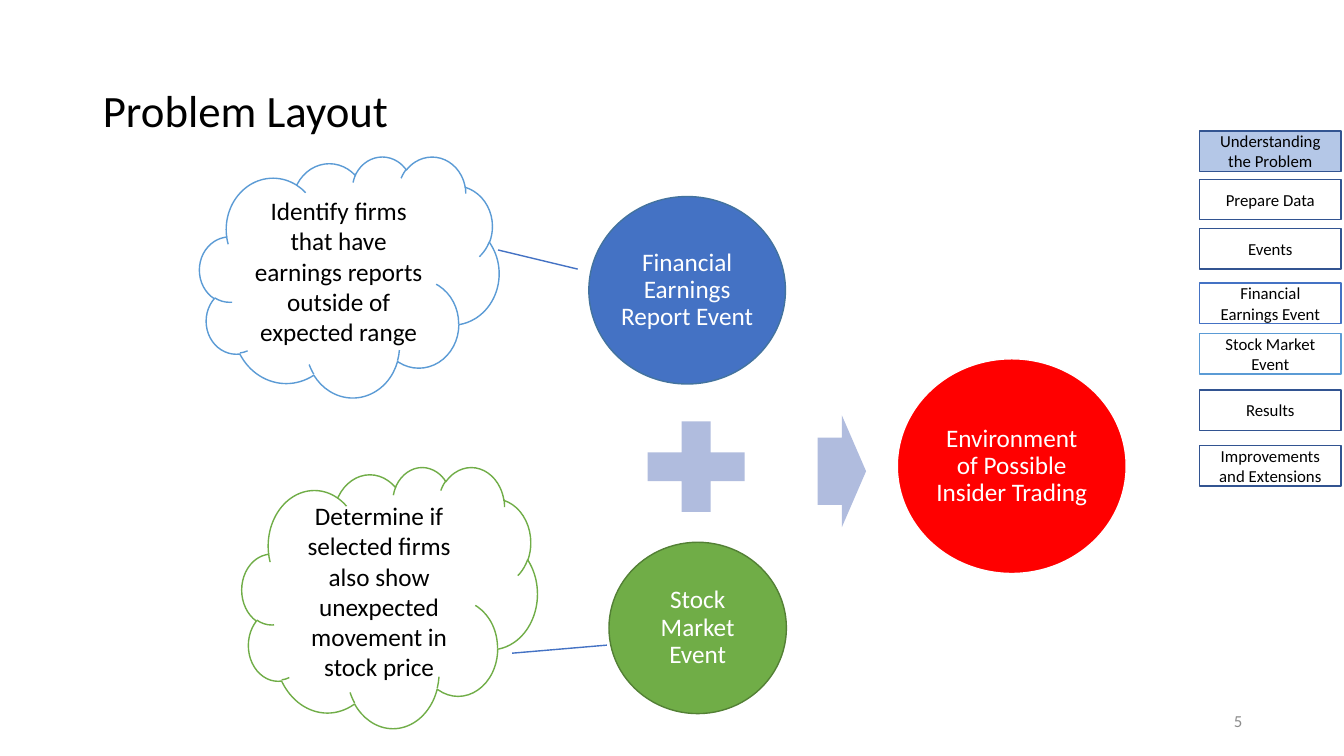
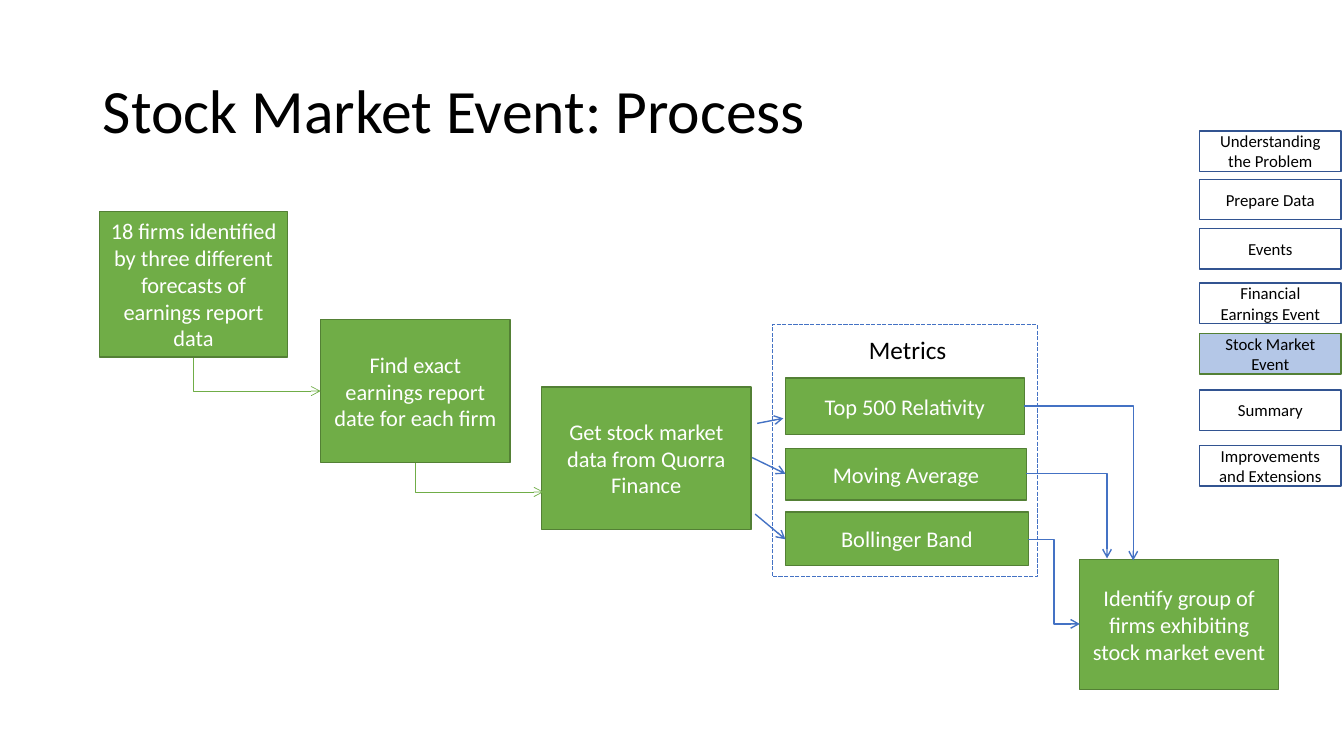
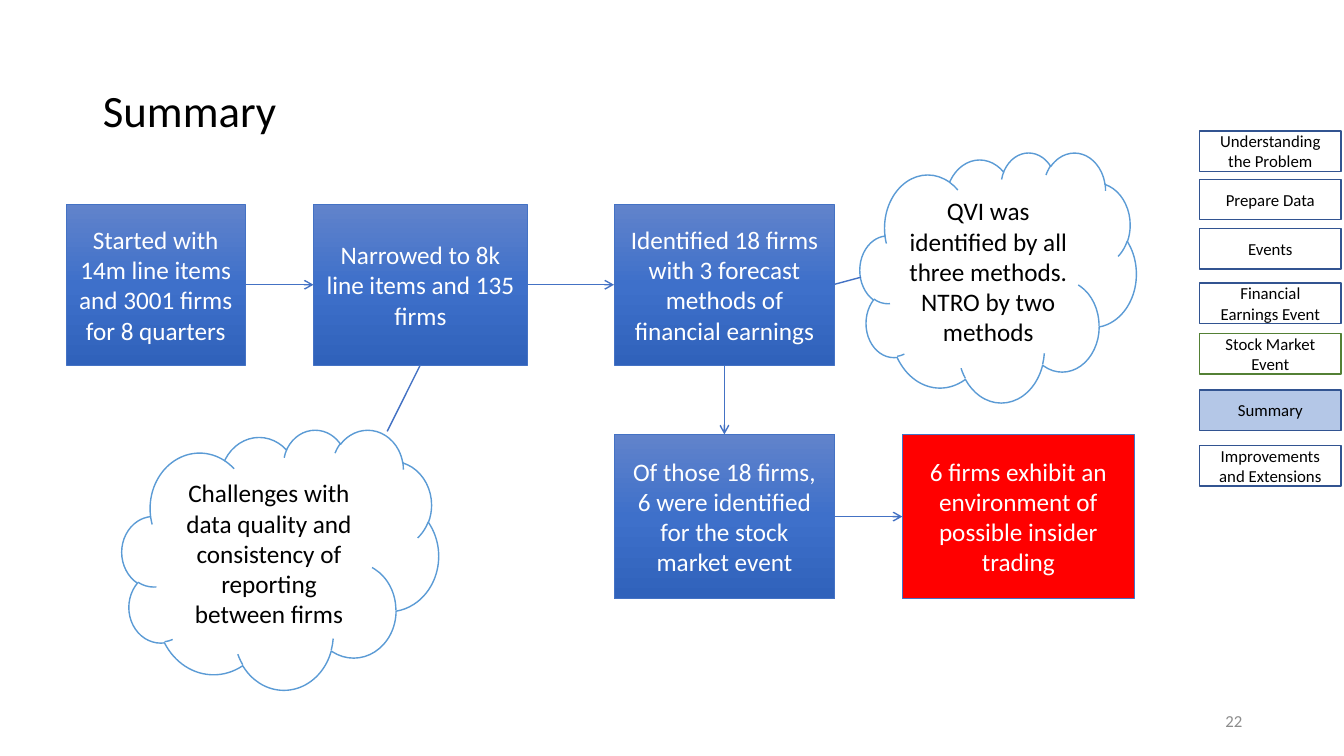
from dataclasses import dataclass
from typing import Any

from lxml.etree import SubElement
from pptx import Presentation
from pptx.dml.color import RGBColor
from pptx.enum.dml import MSO_LINE
from pptx.enum.shapes import MSO_CONNECTOR, MSO_SHAPE
from pptx.enum.text import MSO_ANCHOR, MSO_AUTO_SIZE, PP_ALIGN
from pptx.oxml.ns import qn
from pptx.util import Inches, Pt

FONT = "Calibri"
BLACK, WHITE, GREY = "000000", "FFFFFF", "8C8C8C"
BLUE, DARK_BLUE, LIGHT_BLUE, SKY = "4472C4", "325491", "B4C7E7", "5B9BD5"
GREEN, DARK_GREEN, RED, LAVENDER = "70AD47", "538035", "FF0000", "B0BCDE"
BLUE_GRADIENT = ((0, "6183CB"), (50, "3E70CA"), (100, "3062BB"))

# Connection sites of a rectangle
TOP, LEFT, BOTTOM, RIGHT = range(4)

# Agenda label and its offset from the top of the agenda
AGENDA = (
    ("Understanding the Problem", 0),
    ("Prepare Data", 0.48),
    ("Events", 0.97),
    ("Financial Earnings Event", 1.51),
    ("Stock Market Event", 2.01),
    ("Summary", 2.57),
    ("Improvements and Extensions", 3.12),
)


def rgb(color):
    return RGBColor.from_string(color)


def set_text(tf, text, size, color, align=PP_ALIGN.CENTER, spacing=None):
    tf.text = text
    p = tf.paragraphs[0]
    p.alignment = align
    if spacing:
        p.line_spacing = spacing
    font = p.runs[0].font
    font.name, font.size = FONT, Pt(size)
    font.color.rgb = rgb(color)


def set_fill(sp, fill):
    if fill is None:
        sp.fill.background()
    elif isinstance(fill, str):
        sp.fill.solid()
        sp.fill.fore_color.rgb = rgb(fill)
    else:
        sp.fill.gradient()
        sp.fill.gradient_angle = 270
        stops = sp._element.spPr.find(".//" + qn("a:gsLst"))
        for stop in list(stops):
            stops.remove(stop)
        for percent, color in fill:
            stop = SubElement(stops, qn("a:gs"), pos=str(percent * 1000))
            SubElement(stop, qn("a:srgbClr"), val=color)


@dataclass
class Region:
    """Part of a slide; positions are inches from its top left corner."""
    slide: Any
    left: float
    top: float

    def point(self, x, y):
        return Inches(self.left + x), Inches(self.top + y)

    def shape(self, kind, at, text="", fill=None, line=None, width=1,
              size=18, color=WHITE, spacing=None, inset=None):
        x, y, w, h = at
        sp = self.slide.shapes.add_shape(
            kind, *self.point(x, y), Inches(w), Inches(h))
        sp.shadow.inherit = False
        set_fill(sp, fill)
        if line:
            sp.line.color.rgb = rgb(line)
            sp.line.width = Pt(width)
        else:
            sp.line.fill.background()
        tf = sp.text_frame
        if text:
            tf.word_wrap = True
            tf.vertical_anchor = MSO_ANCHOR.MIDDLE
            set_text(tf, text, size, color, spacing=spacing)
        if inset is not None:
            tf.margin_left = tf.margin_right = Inches(inset)
            tf.margin_top = tf.margin_bottom = Inches(inset)
        return sp

    def cloud(self, at, text, line):
        return self.shape(MSO_SHAPE.CLOUD, at, text, WHITE, line, color=BLACK)

    def circle(self, at, text, fill, line):
        return self.shape(MSO_SHAPE.OVAL, at, text, fill, line,
                          spacing=0.9, inset=0.03)

    def label(self, at, text, size, color, align, anchor=MSO_ANCHOR.TOP):
        x, y, w, h = at
        sp = self.slide.shapes.add_textbox(
            *self.point(x, y), Inches(w), Inches(h))
        sp.text_frame.word_wrap = True
        sp.text_frame.vertical_anchor = anchor
        set_text(sp.text_frame, text, size, color, align)

    def line(self, start, end, arrow=False, color=BLUE, width=1,
             kind=MSO_CONNECTOR.STRAIGHT):
        c = self.slide.shapes.add_connector(
            kind, *self.point(*start), *self.point(*end))
        c.line.color.rgb = rgb(color)
        c.line.width = Pt(width)
        if arrow:
            SubElement(c.line._get_or_add_ln(), qn("a:tailEnd"), type="arrow")
        SubElement(c._element.spPr, qn("a:effectLst"))
        return c

    def corner(self, start, end, down_first=False, **style):
        """Arrow with a single right-angle turn."""
        if down_first:
            # The frame is turned a quarter, so its sides are swapped
            (x1, y1), (x2, y2) = start, end
            cx, cy = (x1 + x2) / 2, (y1 + y2) / 2
            dx, dy = (y2 - y1) / 2, (x2 - x1) / 2
            start, end = (cx - dx, cy - dy), (cx + dx, cy + dy)
        c = self.line(start, end, True, kind=MSO_CONNECTOR.ELBOW, **style)
        spPr = c._element.spPr
        spPr.find(qn("a:prstGeom")).set("prst", "bentConnector2")
        if down_first:
            xfrm = spPr.find(qn("a:xfrm"))
            xfrm.set("rot", "16200000")
            xfrm.set("flipH", "1")

    def link(self, source, source_site, target, target_site):
        """Straight arrow glued to two boxes."""
        c = self.line((0, 0), (1, 1), True)
        c.begin_connect(source, source_site)
        c.end_connect(target, target_site)


def add_slide(prs, title, size, number=None):
    s = prs.slides.add_slide(prs.slide_layouts[5])
    sp = s.shapes.title
    sp.left, sp.top = Inches(0.92), Inches(0.4)
    sp.width, sp.height = Inches(11.5), Inches(1.45)
    tf = sp.text_frame
    tf.auto_size = MSO_AUTO_SIZE.NONE
    tf.vertical_anchor = MSO_ANCHOR.MIDDLE
    set_text(tf, title, size, BLACK, PP_ALIGN.LEFT, 0.9)
    if number:
        Region(s, 9.42, 6.95).label((0, 0, 3, 0.4), number, 12, GREY,
                                    PP_ALIGN.RIGHT, MSO_ANCHOR.MIDDLE)
    return s


def add_agenda(area, current, lines, renamed):
    """Agenda on the right edge, with the current step filled."""
    for text, y in AGENDA:
        area.shape(MSO_SHAPE.FLOWCHART_PROCESS, (0, y, 1.4, 0.4),
                   renamed.get(text, text),
                   LIGHT_BLUE if text == current else None,
                   lines.get(text, DARK_BLUE), size=12, color=BLACK)


def add_problem(area):
    # Two events lead to one environment
    area.circle((3.94, 0.45, 1.95, 1.86), "Financial Earnings Report Event",
                BLUE, "43739E")
    area.shape(MSO_SHAPE.MATH_PLUS, (4.35, 2.52, 1.31, 1.22), fill=LAVENDER)
    area.circle((4.14, 3.88, 1.76, 1.7), "Stock Market Event",
                GREEN, DARK_GREEN)
    arrow = area.shape(MSO_SHAPE.RIGHT_ARROW, (6.21, 2.62, 0.48, 1.11),
                       fill=LAVENDER)
    arrow.adjustments[0] = 0.6
    area.circle((7, 2.06, 2.27, 2.13),
                "Environment of Possible Insider Trading", RED, WHITE)

    # Explanations
    area.cloud((0.08, 0.05, 2.97, 2.39), "Identify firms that have earnings "
               "reports outside of expected range", SKY)
    area.line((3.04, 0.98), (3.83, 1.17))
    area.cloud((0.5, 3.13, 2.93, 2.59), "Determine if selected firms also "
               "show unexpected movement in stock price", GREEN)
    area.line((3.18, 4.98), (4.12, 4.9))


def add_process(area):
    # Steps and metrics
    for at, text in (
        ((0.09, 0.1, 1.86, 1.44), "18 firms identified by three different "
                                  "forecasts of earnings report data"),
        ((2.28, 1.17, 1.88, 1.42),
         "Find exact earnings report date for each firm"),
        ((4.47, 1.84, 2.08, 1.41),
         "Get stock market data from Quorra Finance"),
        ((6.89, 1.75, 2.37, 0.56), "Top 500 Relativity"),
        ((6.89, 2.45, 2.39, 0.51), "Moving Average"),
        ((6.89, 3.08, 2.41, 0.53), "Bollinger Band"),
        ((9.81, 3.55, 1.97, 1.29),
         "Identify group of firms exhibiting stock market event"),
    ):
        area.shape(MSO_SHAPE.FLOWCHART_PROCESS, at, text, GREEN, DARK_GREEN,
                   size=16)

    # Arrows between steps
    for start, end in (((1.02, 1.55), (2.28, 1.88)),
                       ((3.22, 2.59), (4.49, 2.88))):
        area.corner(start, end, down_first=True, color=GREEN, width=0.5)

    # Arrows into and out of the metrics
    for start, end in (((6.61, 2.2), (6.87, 2.15)),
                       ((6.56, 2.54), (6.89, 2.7)),
                       ((6.59, 3.1), (6.89, 3.35))):
        area.line(start, end, True)
    area.corner((9.26, 2.03), (10.34, 3.56))
    area.corner((9.28, 2.7), (10.08, 3.54))
    area.line((9.3, 3.35), (9.81, 4.19), True, kind=MSO_CONNECTOR.ELBOW)

    # Frame around the metrics
    frame = area.shape(MSO_SHAPE.RECTANGLE, (6.76, 1.22, 2.63, 2.5), line=BLUE)
    frame.line.dash_style = MSO_LINE.SQUARE_DOT
    area.label((7.62, 1.27, 1.13, 0.4), "Metrics", 18, BLACK, PP_ALIGN.LEFT)


def add_summary(area):
    # Narrowing steps
    start, narrowed, forecast, market, result = [
        area.shape(MSO_SHAPE.RECTANGLE, at, text, fill, BLUE, 0.5)
        for at, text, fill in (
            ((0.06, 0.53, 1.77, 1.59), "Started with 14m line items and 3001 "
                                       "firms for 8 quarters", BLUE_GRADIENT),
            ((2.51, 0.53, 2.12, 1.59),
             "Narrowed to 8k line items and 135 firms", BLUE_GRADIENT),
            ((5.49, 0.53, 2.19, 1.59), "Identified 18 firms with 3 forecast "
             "methods of financial earnings", BLUE_GRADIENT),
            ((5.49, 2.81, 2.19, 1.63), "Of those 18 firms, 6 were identified "
             "for the stock market event", BLUE_GRADIENT),
            ((8.35, 2.81, 2.3, 1.63), "6 firms exhibit an environment of "
                                      "possible insider trading", RED),
        )
    ]
    area.link(start, RIGHT, narrowed, LEFT)
    area.link(narrowed, RIGHT, forecast, LEFT)
    area.link(forecast, BOTTOM, market, TOP)
    area.link(market, RIGHT, result, LEFT)

    # Remarks
    area.cloud((0.61, 2.76, 3.14, 2.58), "Challenges with data quality and "
               "consistency of reporting between firms", SKY)
    area.line((3.57, 2.12), (3.24, 2.78))
    area.cloud((7.93, 0.01, 2.74, 2.48), "QVI was identified by all three "
               "methods. NTRO by two methods", SKY)
    area.line((7.94, 1.25), (7.68, 1.32))


def main():
    prs = Presentation()
    prs.slide_width, prs.slide_height = Inches(13.33), Inches(7.5)
    green_step = {"Stock Market Event": DARK_GREEN}
    first_lines = {"Financial Earnings Event": BLUE, "Stock Market Event": SKY}

    s = add_slide(prs, "Problem Layout", 32, "5")
    add_problem(Region(s, 1.9, 1.5))
    add_agenda(Region(s, 11.9, 1.3), "Understanding the Problem",
               first_lines, {"Summary": "Results"})

    s = add_slide(prs, "Stock Market Event: Process", 44)
    add_process(Region(s, 0.9, 2))
    add_agenda(Region(s, 11.9, 1.3), "Stock Market Event", green_step, {})

    s = add_slide(prs, "Summary", 32, "22")
    add_summary(Region(s, 0.6, 1.5))
    add_agenda(Region(s, 11.9, 1.3), "Summary", green_step, {})

    prs.save("out.pptx")


if __name__ == "__main__":
    main()
